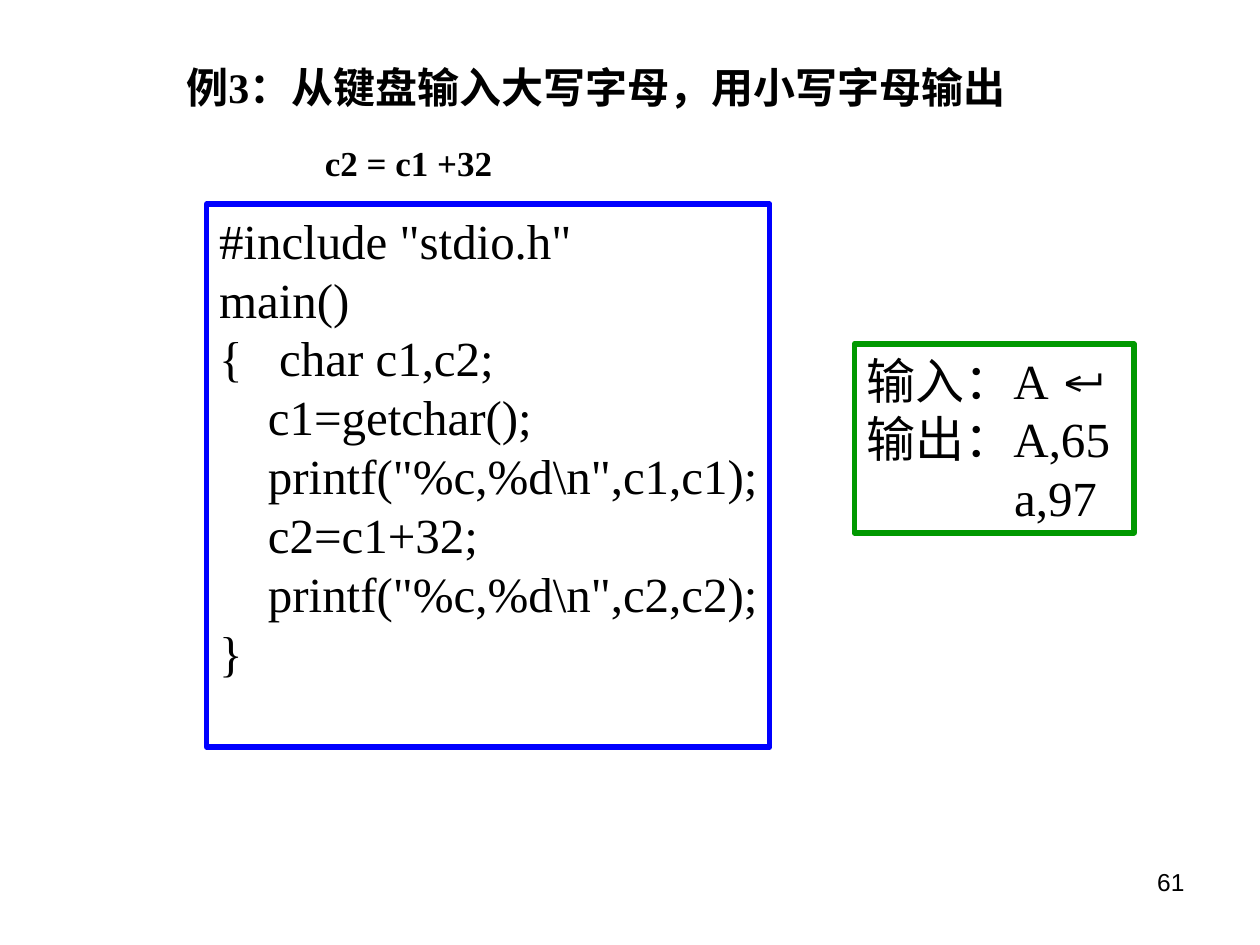
from dataclasses import dataclass

from pptx import Presentation
from pptx.dml.color import RGBColor
from pptx.enum.shapes import MSO_SHAPE
from pptx.enum.text import MSO_ANCHOR, MSO_AUTO_SIZE, PP_ALIGN
from pptx.util import Inches, Pt

SERIF = "Times New Roman"
SANS = "Arial"
BLACK = "000000"

CODE = r'''#include "stdio.h"
main()
{   char c1,c2;
    c1=getchar();
    printf("%c,%d\n",c1,c1);
    c2=c1+32;
    printf("%c,%d\n",c2,c2);
}'''


@dataclass(frozen=True)
class Area:
    """Place on the slide, in percent of its width and height."""
    left: float
    top: float
    width: float
    height: float


@dataclass(frozen=True)
class Style:
    size: int
    name: str = SERIF
    bold: bool = False
    align: PP_ALIGN = PP_ALIGN.LEFT


@dataclass(frozen=True)
class Panel:
    area: Area
    border: str
    lines: tuple[str, ...]


TITLE_AREA = Area(13.8, 5.87, 79.5, 6.67)
FORMULA_AREA = Area(24.8, 14.27, 47.2, 5.87)
NUMBER_AREA = Area(71.7, 91.07, 23.3, 6.93)
CODE_PANEL = Panel(Area(16.4, 21.6, 44.7, 57.47), "0000FF", tuple(CODE.split("\n")))
RESULT_PANEL = Panel(Area(67.8, 36.4, 22.2, 20), "009900", ("输入：A ", "输出：A,65", "a,97"))
RESULT_INDENT = Inches(1.17)

deck = Presentation()
deck.slide_width, deck.slide_height = Inches(10), Inches(7.5)
page = deck.slides.add_slide(deck.slide_layouts[5])


def color(value: str) -> RGBColor:
    return RGBColor.from_string(value)


def frame(area: Area) -> tuple[int, int, int, int]:
    across, down = deck.slide_width / 100, deck.slide_height / 100
    return (int(area.left * across), int(area.top * down),
            int(area.width * across), int(area.height * down))


def write(box, lines: tuple[str, ...], style: Style, wrap: bool = True) -> None:
    text = box.text_frame
    text.auto_size = MSO_AUTO_SIZE.NONE
    text.word_wrap = wrap
    text.vertical_anchor = MSO_ANCHOR.TOP
    for number, line in enumerate(lines):
        para = text.add_paragraph() if number else text.paragraphs[0]
        para.add_run().text = line
        para.alignment = style.align
        para.space_before = Pt(0)
        para.font.size = Pt(style.size)
        para.font.name = style.name
        para.font.bold = style.bold
        para.font.color.rgb = color(BLACK)


def add_label(area: Area, line: str, style: Style) -> None:
    write(page.shapes.add_textbox(*frame(area)), (line,), style)


def add_panel(panel: Panel):
    box = page.shapes.add_shape(MSO_SHAPE.RECTANGLE, *frame(panel.area))
    box.shadow.inherit = False
    box.fill.background()
    box.line.color.rgb = color(panel.border)
    box.line.width = Pt(3)
    write(box, panel.lines, Style(28), wrap=False)
    return box


title = page.shapes.title
title.left, title.top, title.width, title.height = frame(TITLE_AREA)
write(title, ("例3：从键盘输入大写字母，用小写字母输出",), Style(24, bold=True))

add_label(FORMULA_AREA, "c2 = c1 +32", Style(20, bold=True))
add_panel(CODE_PANEL)

result = add_panel(RESULT_PANEL)
entry, _, lowercase = result.text_frame.paragraphs
enter_key = entry.add_run()
enter_key.text = "↵"
enter_key.font.name = SANS
lowercase._p.get_or_add_pPr().set("marL", str(RESULT_INDENT))

add_label(NUMBER_AREA, "61", Style(14, SANS, align=PP_ALIGN.RIGHT))

deck.save("out.pptx")
